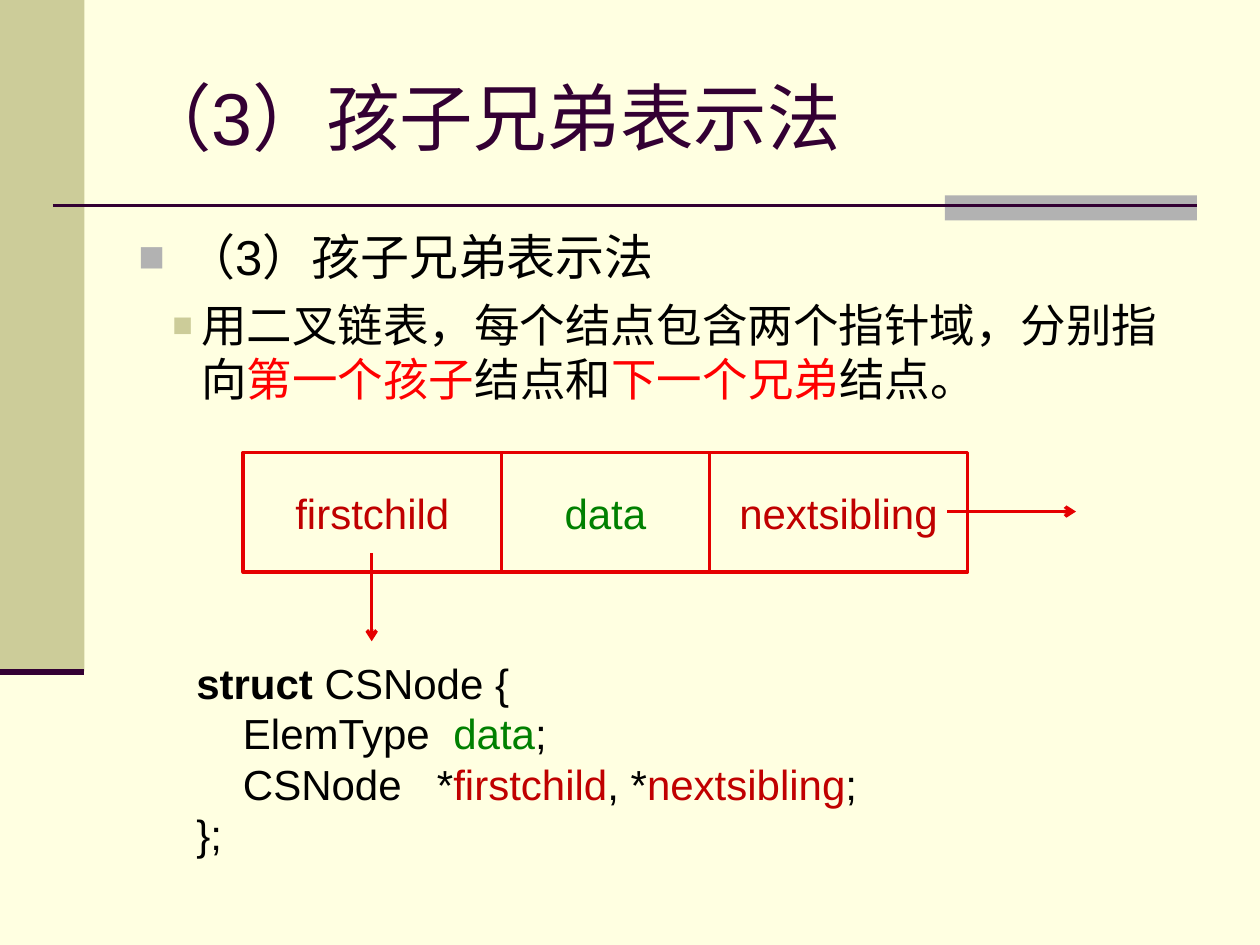
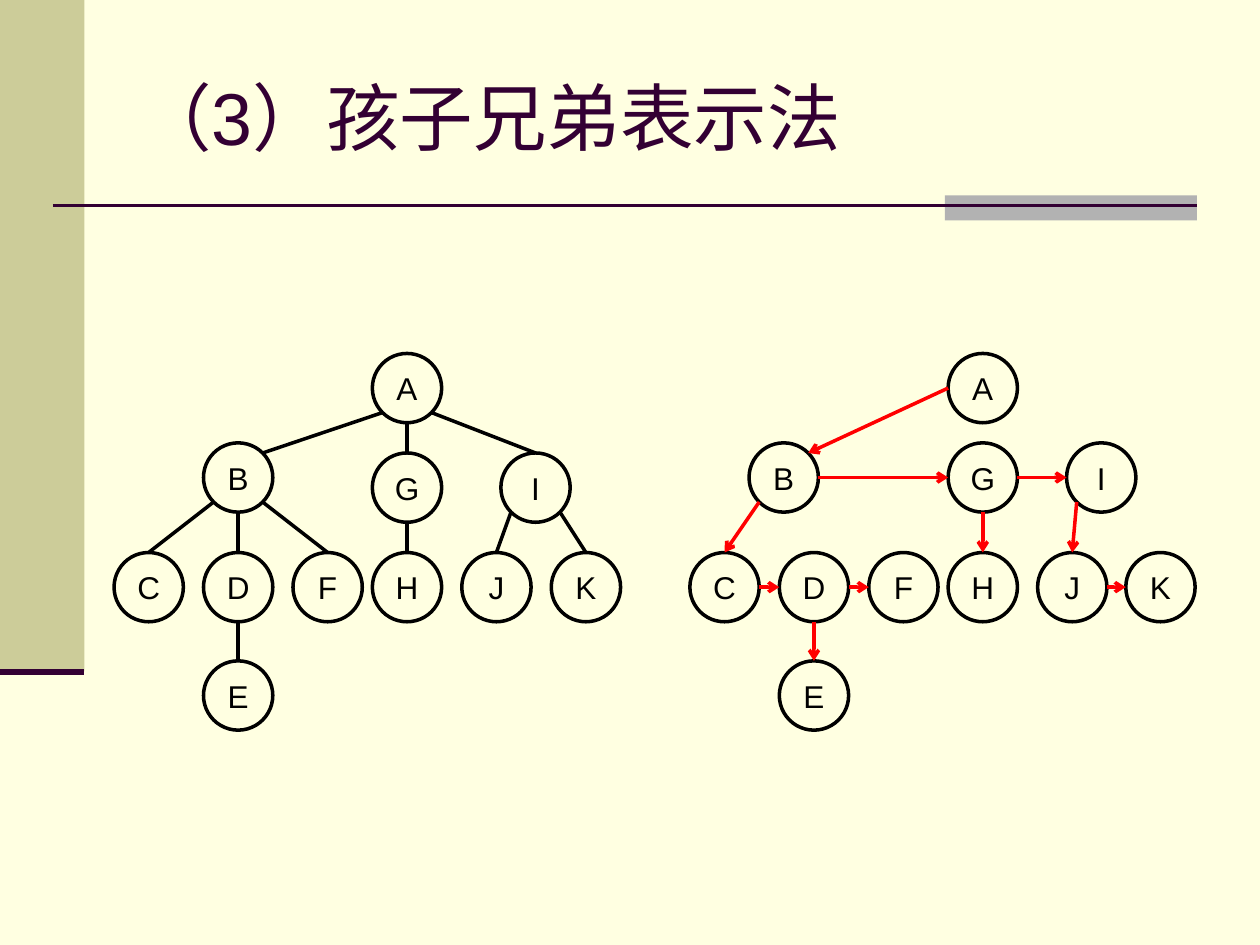
from dataclasses import dataclass
from math import cos, radians, sin

from lxml import etree
from pptx import Presentation
from pptx import util as u
from pptx.dml.color import RGBColor
from pptx.enum import shapes, text
from pptx.oxml.ns import qn

CREAM = RGBColor(0xFF, 0xFF, 0xE1)
OLIVE = RGBColor(0xCC, 0xCC, 0x99)
GRAY = RGBColor(0xB2, 0xB2, 0xB2)
PLUM = RGBColor(0x33, 0x00, 0x33)
BLACK = RGBColor(0x00, 0x00, 0x00)
RED = RGBColor(0xFF, 0x00, 0x00)
FRAME = RGBColor(0xE5, 0x00, 0x00)
WINE = RGBColor(0xC0, 0x00, 0x00)
GREEN = RGBColor(0x00, 0x80, 0x00)

FONT = "Arial"
TITLE = "（3）孩子兄弟表示法"
SIZE = 0.55
SITES = {"e": 0, "se": 45, "s": 90, "sw": 135, "w": 180, "nw": 225, "n": 270, "ne": 315}


@dataclass(frozen=True)
class Span:
    words: str
    color: RGBColor = BLACK
    bold: bool = False


@dataclass(frozen=True)
class Mark:
    color: RGBColor
    scale: int
    left: float
    hang: float


@dataclass(frozen=True)
class Para:
    spans: tuple[Span, ...]
    size: float
    align: text.PP_ALIGN = text.PP_ALIGN.LEFT
    before: float = 0
    mark: Mark | None = None
    tabs: tuple[float, ...] = ()


@dataclass(frozen=True)
class Box:
    left: float
    top: float
    width: float
    height: float

    def args(self) -> list:
        return [u.Inches(v) for v in (self.left, self.top, self.width, self.height)]


@dataclass(frozen=True)
class Field:
    name: str
    left: float
    width: float
    color: RGBColor


@dataclass(frozen=True)
class Tree:
    nodes: dict[str, tuple[float, float]]
    edges: tuple[str, ...]
    color: RGBColor
    arrow: bool


def put(item, values: dict) -> None:
    for key, value in values.items():
        setattr(item, key, value)


def add_mark(para, mark: Mark) -> None:
    props = para._p.get_or_add_pPr()
    props.set("marL", str(u.Inches(mark.left)))
    props.set("indent", str(-u.Inches(mark.hang)))
    tint = etree.SubElement(props, qn("a:buClr"))
    etree.SubElement(tint, qn("a:srgbClr"), val=str(mark.color))
    etree.SubElement(props, qn("a:buSzPct"), val=str(mark.scale * 1000))
    etree.SubElement(props, qn("a:buFont"), typeface=FONT)
    etree.SubElement(props, qn("a:buChar"), char="■")


def add_tabs(para, tabs: tuple[float, ...]) -> None:
    stops = etree.SubElement(para._p.get_or_add_pPr(), qn("a:tabLst"))
    for stop in tabs:
        etree.SubElement(stops, qn("a:tab"), pos=str(u.Inches(stop)), algn="l")


def write(shape, paras: list[Para], anchor=text.MSO_ANCHOR.MIDDLE) -> None:
    frame = shape.text_frame
    put(frame, {"word_wrap": True, "vertical_anchor": anchor})
    for i, item in enumerate(paras):
        para = frame.add_paragraph() if i else frame.paragraphs[0]
        put(para, {"alignment": item.align, "space_before": u.Pt(item.before)})
        if item.mark:
            add_mark(para, item.mark)
        if item.tabs:
            add_tabs(para, item.tabs)
        for span in item.spans:
            run = para.add_run()
            run.text = span.words
            put(run.font, {"name": FONT, "size": u.Pt(item.size), "bold": span.bold})
            run.font.color.rgb = span.color


def add_text(slide, box: Box, paras: list[Para], anchor=text.MSO_ANCHOR.TOP) -> None:
    write(slide.shapes.add_textbox(*box.args()), paras, anchor)


def add_form(slide, kind, box: Box, fill: RGBColor, edge: RGBColor | None = None):
    shape = slide.shapes.add_shape(kind, *box.args())
    shape.shadow.inherit = False
    shape.fill.solid()
    shape.fill.fore_color.rgb = fill
    if edge is None:
        shape.line.fill.background()
    else:
        shape.line.color.rgb = edge
        shape.line.width = u.Pt(2)
    return shape


def add_line(slide, start, end, color: RGBColor, width: float = 2, arrow: bool = False) -> None:
    ends = [u.Inches(v) for v in (*start, *end)]
    line = slide.shapes.add_connector(shapes.MSO_CONNECTOR.STRAIGHT, *ends)
    line.line.color.rgb = color
    line.line.width = u.Pt(width)
    if arrow:
        etree.SubElement(line.line._get_or_add_ln(), qn("a:tailEnd"), type="arrow")
    etree.SubElement(line._element.spPr, qn("a:effectLst"))


def add_slide(deck):
    slide = deck.slides.add_slide(deck.slide_layouts[6])
    slide.background.fill.solid()
    slide.background.fill.fore_color.rgb = CREAM
    rect = shapes.MSO_SHAPE.RECTANGLE
    add_form(slide, rect, Box(0, 0, 0.67, 5.33), OLIVE)
    add_form(slide, rect, Box(7.5, 1.55, 2, 0.2), GRAY)
    add_line(slide, (0.42, 1.63), (9.5, 1.63), PLUM, 1.5)
    add_line(slide, (0, 5.33), (0.67, 5.33), PLUM, 3.5)
    head = Para((Span(TITLE, PLUM),), 42)
    add_text(slide, Box(1, 0.3, 8.5, 1.25), [head], text.MSO_ANCHOR.MIDDLE)
    return slide


def site(center: tuple[float, float], name: str) -> tuple[float, float]:
    angle = radians(SITES[name])
    return center[0] + SIZE / 2 * cos(angle), center[1] + SIZE / 2 * sin(angle)


def add_tree(slide, tree: Tree) -> None:
    for name, (x, y) in tree.nodes.items():
        box = Box(x - SIZE / 2, y - SIZE / 2, SIZE, SIZE)
        node = add_form(slide, shapes.MSO_SHAPE.OVAL, box, CREAM, BLACK)
        write(node, [Para((Span(name),), 18, text.PP_ALIGN.CENTER)])
    for edge in tree.edges:
        start, out, end, into = edge.split()
        add_line(slide, site(tree.nodes[start], out), site(tree.nodes[end], into),
                 tree.color, arrow=tree.arrow)


POINTS = [
    Para((Span(TITLE),), 28, before=7, mark=Mark(GRAY, 90, 0.38, 0.38)),
    Para((Span("用二叉链表，每个结点包含两个指针域，分别指向"), Span("第一个孩子", RED),
          Span("结点和"), Span("下一个兄弟", RED), Span("结点。")),
         26, before=6.5, mark=Mark(OLIVE, 75, 0.5, 0.23)),
]

FIELDS = [
    Field("firstchild", 1.93, 2.05, WINE),
    Field("data", 3.98, 1.65, GREEN),
    Field("nextsibling", 5.63, 2.05, WINE),
]

CODE = [
    Para((Span("struct ", bold=True), Span("CSNode {")), 24),
    Para((Span("\tElemType\t"), Span("data", GREEN), Span(";")), 24, tabs=(0.37, 2.04)),
    Para((Span("\tCSNode\t*"), Span("firstchild", WINE), Span(", *"),
          Span("nextsibling", WINE), Span(";")), 24, tabs=(0.37, 1.91)),
    Para((Span("};"),), 24),
]

ROW = 4.66
PLAIN = Tree(
    {"A": (3.23, 3.08), "B": (1.89, 3.79), "G": (3.23, 3.87), "I": (4.25, 3.87),
     "C": (1.18, ROW), "D": (1.89, ROW), "F": (2.6, ROW), "H": (3.23, ROW),
     "J": (3.94, ROW), "K": (4.65, ROW), "E": (1.89, 5.52)},
    ("A sw B ne", "A s G n", "A se I n", "B sw C n", "B s D n", "B se F n",
     "G s H n", "D s E n", "I sw J n", "I se K n"),
    BLACK, False)
LINKED = Tree(
    {"A": (7.8, 3.08), "B": (6.22, 3.79), "G": (7.8, 3.79), "I": (8.74, 3.79),
     "C": (5.75, ROW), "D": (6.46, ROW), "F": (7.17, ROW), "H": (7.8, ROW),
     "J": (8.51, ROW), "K": (9.21, ROW), "E": (6.46, 5.52)},
    ("A w B ne", "B e G w", "G e I w", "B sw C n", "C e D w", "D e F w",
     "G s H n", "D s E n", "I sw J n", "J e K w"),
    RED, True)


def add_struct(deck) -> None:
    slide = add_slide(deck)
    add_text(slide, Box(1, 1.75, 8.5, 4.95), POINTS)
    for field in FIELDS:
        box = Box(field.left, 3.59, field.width, 0.95)
        cell = add_form(slide, shapes.MSO_SHAPE.RECTANGLE, box, CREAM, FRAME)
        write(cell, [Para((Span(field.name, field.color),), 24, text.PP_ALIGN.CENTER)])
    add_line(slide, (2.95, 4.39), (2.95, 5.09), FRAME, arrow=True)
    add_line(slide, (7.52, 4.06), (8.54, 4.06), FRAME, arrow=True)
    add_text(slide, Box(1.46, 5.17, 6.58, 1.7), CODE)


def add_trees(deck) -> None:
    slide = add_slide(deck)
    for tree in (PLAIN, LINKED):
        add_tree(slide, tree)


def main() -> None:
    deck = Presentation()
    put(deck, {"slide_width": u.Inches(10), "slide_height": u.Inches(7.5)})
    add_struct(deck)
    add_trees(deck)
    deck.save("out.pptx")


if __name__ == "__main__":
    main()
